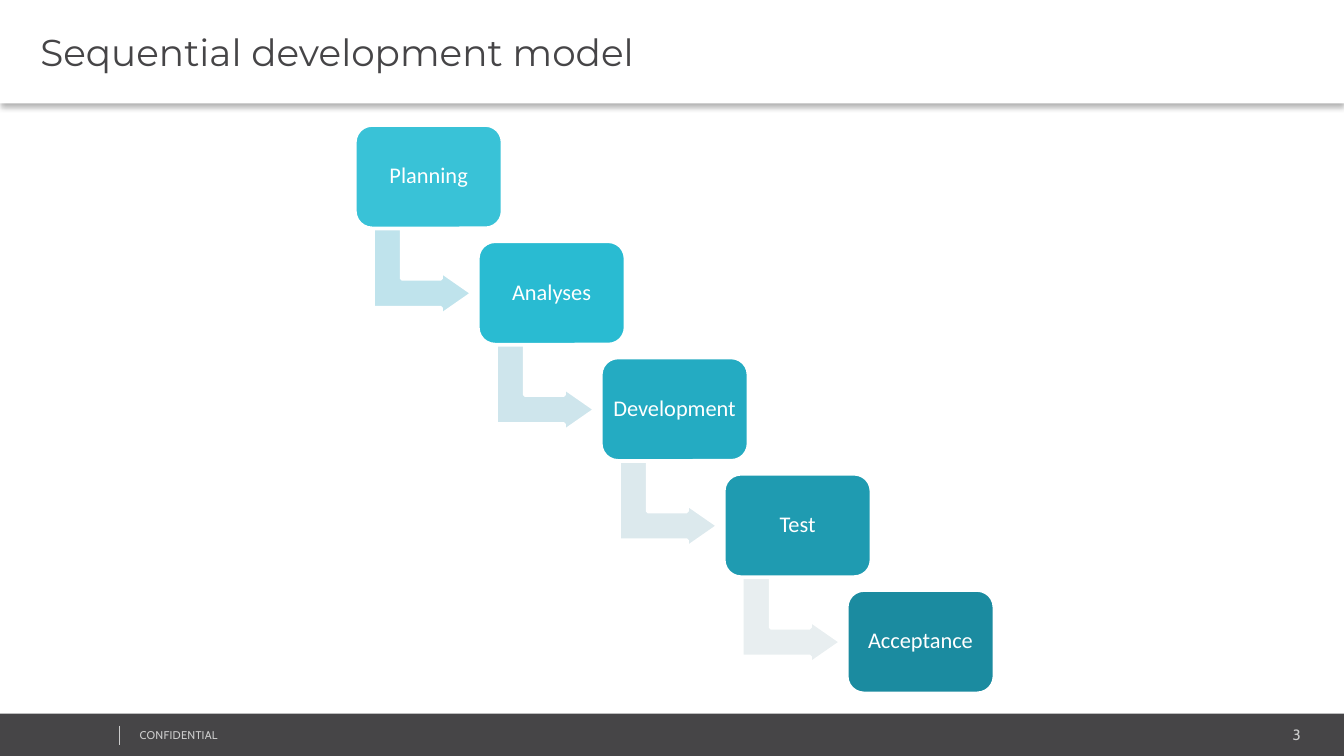
from lxml import etree
from pptx import Presentation
from pptx.dml.color import RGBColor
from pptx.enum import shapes, text
from pptx.oxml.ns import qn
from pptx.util import Inches, Pt

TITLE = "Sequential development model"
FOOTER = "CONFIDENTIAL"
PAGE_NUMBER = "3"

# Step name, box colour, colour of the arrow to the next step
STEPS = [
    ("Planning", "39C2D7", "BFE3EC"),
    ("Analyses", "29BBD2", "CEE5EC"),
    ("Development", "24ABC2", "DCE9ED"),
    ("Test", "1F9BB1", "E8EEF0"),
    ("Acceptance", "1B8BA0", None),
]
COLORS = {"dark": "464547", "light": "CCCCCC", "white": "FFFFFF", "shadow": "000000"}

# Staircase geometry in inches
FIRST, LAST = (2.64, 0.93), (6.30, 4.39)
BOX_SIZE = (1.10, 0.77)
ARROW_SIZE = (0.65, 0.74)
ARROW_OFFSET = (0.18, 0.72)


def add_shape(page, kind, left, top, width, height, fill, line=None):
    shape = page.shapes.add_shape(
        kind, Inches(left), Inches(top), Inches(width), Inches(height))
    shape.shadow.inherit = False
    shape.fill.solid()
    shape.fill.fore_color.rgb = RGBColor.from_string(fill)
    if line:
        shape.line.color.rgb = RGBColor.from_string(line)
        shape.line.width = Pt(2)
    else:
        shape.line.fill.background()
    return shape


def write(box, words, font, size, color, align=text.PP_ALIGN.LEFT,
          anchor=text.MSO_ANCHOR.MIDDLE, insets=(0.07, 0.04, 0.07, 0.04),
          wrap=True, line_spacing=None, tracking=None):
    frame = box.text_frame
    frame.word_wrap = wrap
    frame.auto_size = text.MSO_AUTO_SIZE.NONE
    frame.vertical_anchor = anchor
    (frame.margin_left, frame.margin_top,
     frame.margin_right, frame.margin_bottom) = map(Inches, insets)
    para = frame.paragraphs[0]
    para.alignment = align
    para.line_spacing = line_spacing
    span = para.add_run()
    span.text = words
    span.font.name = font
    span.font.size = Pt(size)
    span.font.color.rgb = RGBColor.from_string(color)
    if tracking:
        span.font._element.set("spc", str(round(tracking * 100)))


def add_shadow(shape, color, opacity, blur, distance, angle):
    effects = etree.SubElement(shape._element.spPr, qn("a:effectLst"))
    outer = etree.SubElement(
        effects, qn("a:outerShdw"), blurRad=str(Pt(blur)), dist=str(Pt(distance)),
        dir=str(angle * 60000), algn="t", rotWithShape="0")
    tint = etree.SubElement(outer, qn("a:srgbClr"), val=color)
    etree.SubElement(tint, qn("a:alpha"), val=str(opacity * 1000))


# Widescreen page, 16:9
deck = Presentation()
deck.slide_width = Inches(10)
deck.slide_height = deck.slide_width * 9 // 16
page = deck.slides.add_slide(deck.slide_layouts[5])

# Title band
title = page.shapes.title
title.left, title.top, title.width, title.height = map(Inches, (0, 0, 10, 0.77))
title.fill.solid()
title.fill.fore_color.rgb = RGBColor.from_string(COLORS["white"])
add_shadow(title, COLORS["shadow"], opacity=30, blur=3.1, distance=2, angle=90)
write(title, TITLE, "Montserrat", 20, COLORS["dark"], insets=(0.3, 0.04, 0.07, 0.04))

# Footer band with divider, label and page number
add_shape(page, shapes.MSO_SHAPE.RECTANGLE, 0, 5.31, 10.01, 0.33, COLORS["dark"])
divider = page.shapes.add_connector(
    shapes.MSO_CONNECTOR.STRAIGHT, Inches(0.89), Inches(5.4), Inches(0.89), Inches(5.54))
divider.line.color.rgb = RGBColor.from_string(COLORS["light"])
divider.line.width = Pt(0.25)
etree.SubElement(divider._element.spPr, qn("a:effectLst"))

number = page.shapes.add_textbox(Inches(8.12), Inches(5.36), Inches(1.63), Inches(0.21))
write(number, PAGE_NUMBER, "Cabin", 8, COLORS["light"],
      align=text.PP_ALIGN.RIGHT, anchor=text.MSO_ANCHOR.TOP)
label = page.shapes.add_textbox(Inches(0.96), Inches(5.38), Inches(2.53), Inches(0.18))
write(label, FOOTER, "Cabin", 6, COLORS["light"], insets=(0.08, 0.04, 0.07, 0.04),
      anchor=text.MSO_ANCHOR.TOP, tracking=0.1)

# Staircase of steps, each arrow leading to the next box
step_x, step_y = ((end - start) / (len(STEPS) - 1) for start, end in zip(FIRST, LAST))
for index, (name, box_color, arrow_color) in enumerate(STEPS):
    left, top = FIRST[0] + index * step_x, FIRST[1] + index * step_y
    if arrow_color:
        arrow = add_shape(
            page, shapes.MSO_SHAPE.BENT_UP_ARROW, left + ARROW_OFFSET[0],
            top + ARROW_OFFSET[1], *ARROW_SIZE, arrow_color, COLORS["white"])
        arrow.rotation = 90
        for position, value in enumerate((0.33, 0.25, 0.36)):
            arrow.adjustments[position] = value
    box = add_shape(page, shapes.MSO_SHAPE.ROUNDED_RECTANGLE, left, top, *BOX_SIZE,
                    box_color, COLORS["white"])
    write(box, name, "Calibri", 12, COLORS["white"], align=text.PP_ALIGN.CENTER,
          insets=(0.05,) * 4, wrap=False, line_spacing=0.9)

deck.save("out.pptx")
